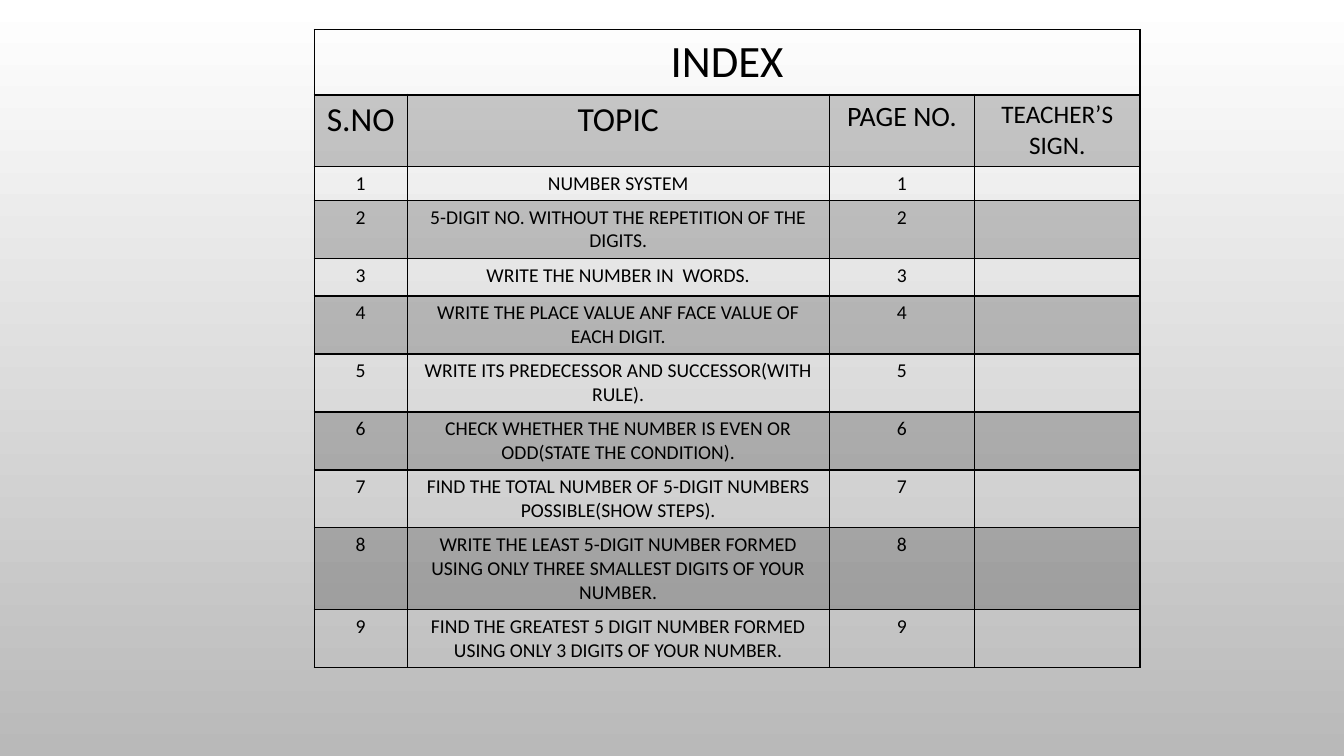
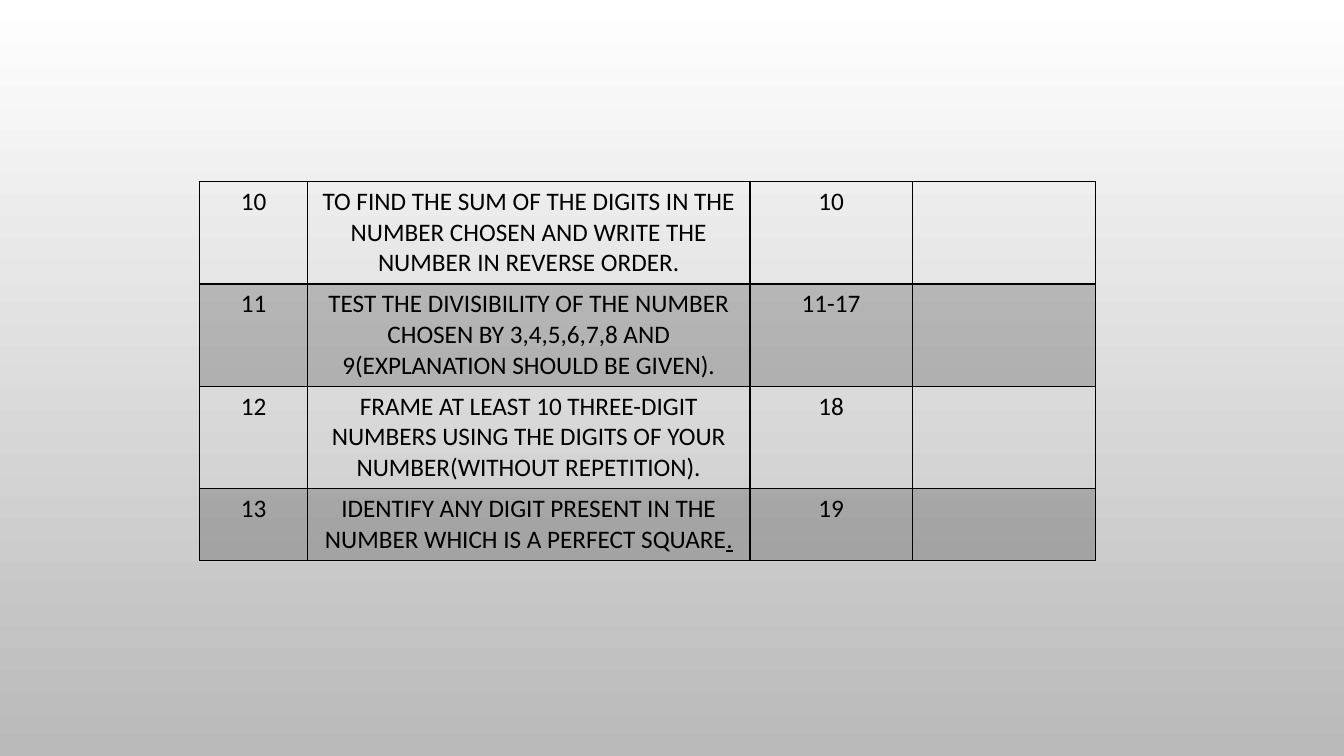
from dataclasses import dataclass

from lxml.etree import SubElement
from pptx import Presentation
from pptx.dml.color import RGBColor
from pptx.enum.text import PP_ALIGN as Align
from pptx.oxml import parse_xml
from pptx.oxml.ns import nsdecls, qn
from pptx.util import Cm, Pt

BLACK = RGBColor(0, 0, 0)
WHITE = RGBColor(0xFF, 0xFF, 0xFF)
GREY = RGBColor(0xB9, 0xB9, 0xB9)
FONT = "Calibri"
BAND_OPACITY = 20
LINE, HEAVY_LINE = 1, 2


@dataclass(frozen=True)
class Span:
    text: str
    size: float
    underline: bool = False


@dataclass(frozen=True)
class Row:
    height: float
    cells: list[list[Span]]


@dataclass(frozen=True)
class IndexTable:
    left: float
    top: float
    widths: list[float]
    rows: list[Row]


def heading(height: float, *labels: tuple[str, float]) -> Row:
    return Row(height, [[Span(text, size)] for text, size in labels])


def entry(height: float, size: float, number: str, topic: str, page: str,
          underlined: str = "") -> Row:
    topic_spans = [Span(topic, size)]
    if underlined:
        topic_spans.append(Span(underlined, size, True))
    return Row(height, [[Span(number, size)], topic_spans, [Span(page, size)], []])


def set_background(deck) -> None:
    fill = deck.slide_master.background.fill
    fill.gradient()
    fill.gradient_angle = 270
    for stop, color in zip(fill.gradient_stops, (WHITE, GREY)):
        stop.color.rgb = color


def write_cell(cell, spans: list[Span]) -> None:
    paragraph = cell.text_frame.paragraphs[0]
    paragraph.alignment = Align.CENTER
    for span in spans:
        run = paragraph.add_run()
        run.text = span.text
        font = run.font
        font.name, font.size, font.bold = FONT, Pt(span.size), False
        font.color.rgb = BLACK
        if span.underline:
            font.underline = True
    if not spans:
        SubElement(paragraph._p, qn("a:endParaRPr"), sz="1400")


def fill_cell(cell, banded: bool) -> None:
    if not banded:
        cell.fill.background()
        return
    cell.fill.solid()
    cell.fill.fore_color.rgb = BLACK
    color = cell._tc.tcPr.find(".//" + qn("a:srgbClr"))
    SubElement(color, qn("a:alpha"), val=str(BAND_OPACITY * 1000))


def border_cell(cell, bottom: float) -> None:
    sides = {"lnL": LINE, "lnR": LINE, "lnT": LINE, "lnB": bottom}
    for position, (side, width) in enumerate(sides.items()):
        cell._tc.tcPr.insert(position, parse_xml(
            f'<a:{side} {nsdecls("a")} w="{Pt(width)}"><a:solidFill>'
            f'<a:srgbClr val="{BLACK}"/></a:solidFill></a:{side}>'))


def add_index(deck, index: IndexTable) -> None:
    slide = deck.slides.add_slide(deck.slide_layouts[6])
    table = slide.shapes.add_table(
        len(index.rows), len(index.widths), Cm(index.left), Cm(index.top),
        Cm(sum(index.widths)), Cm(sum(row.height for row in index.rows))).table
    table.first_row = table.horz_banding = False
    for column, width in zip(table.columns, index.widths):
        column.width = Cm(width)
    for row_number, row in enumerate(index.rows):
        table.rows[row_number].height = Cm(row.height)
        if len(row.cells) == 1:
            table.cell(row_number, 0).merge(
                table.cell(row_number, len(index.widths) - 1))
        for column_number in range(len(index.widths)):
            cell = table.cell(row_number, column_number)
            fill_cell(cell, row_number % 2 == 1)
            border_cell(cell, LINE if row_number else HEAVY_LINE)
            if not cell.is_spanned:
                write_cell(cell, row.cells[column_number])


FIRST_TOPICS = [
    (0.85, "NUMBER SYSTEM"),
    (1.46, "5-DIGIT NO. WITHOUT THE REPETITION OF THE DIGITS."),
    (0.95, "WRITE THE NUMBER IN  WORDS."),
    (1.46, "WRITE THE PLACE VALUE ANF FACE VALUE OF EACH DIGIT."),
    (1.46, "WRITE ITS PREDECESSOR AND SUCCESSOR(WITH RULE)."),
    (1.46, "CHECK WHETHER THE NUMBER IS EVEN OR ODD(STATE THE CONDITION)."),
    (1.46, "FIND THE TOTAL NUMBER OF 5-DIGIT NUMBERS POSSIBLE(SHOW STEPS)."),
    (2.05, "WRITE THE LEAST 5-DIGIT NUMBER FORMED USING ONLY THREE SMALLEST "
           "DIGITS OF YOUR NUMBER."),
    (1.46, "FIND THE GREATEST 5 DIGIT NUMBER FORMED USING ONLY 3 DIGITS OF "
           "YOUR NUMBER."),
]

FIRST_INDEX = IndexTable(7.92, 0.74, [2.34, 10.64, 3.66, 4.17], [
    heading(1.65, ("INDEX", 32)),
    heading(1.79, ("S.NO", 24), ("TOPIC", 24), ("PAGE NO.", 20),
            ("TEACHER’S SIGN.", 18)),
    *(entry(height, 14, str(number), topic, str(number))
      for number, (height, topic) in enumerate(FIRST_TOPICS, 1)),
])

SECOND_INDEX = IndexTable(5.03, 4.57, [2.72, 11.15, 4.09, 4.62], [
    entry(2.58, 18, "10", "TO FIND THE SUM OF THE DIGITS IN THE NUMBER CHOSEN "
          "AND WRITE THE NUMBER IN REVERSE ORDER.", "10"),
    entry(2.58, 18, "11", "TEST THE DIVISIBILITY OF THE NUMBER CHOSEN BY "
          "3,4,5,6,7,8 AND 9(EXPLANATION SHOULD BE GIVEN).", "11-17"),
    entry(2.58, 18, "12", "FRAME AT LEAST 10 THREE-DIGIT NUMBERS USING THE "
          "DIGITS OF YOUR NUMBER(WITHOUT REPETITION).", "18"),
    entry(1.8, 18, "13", "IDENTIFY ANY DIGIT PRESENT IN THE NUMBER WHICH IS A "
          "PERFECT SQUARE", "19", underlined="."),
])


def main() -> None:
    deck = Presentation()
    deck.slide_width, deck.slide_height = Cm(33.87), Cm(19.05)
    set_background(deck)
    for index in (FIRST_INDEX, SECOND_INDEX):
        add_index(deck, index)
    deck.save("out.pptx")


main()
